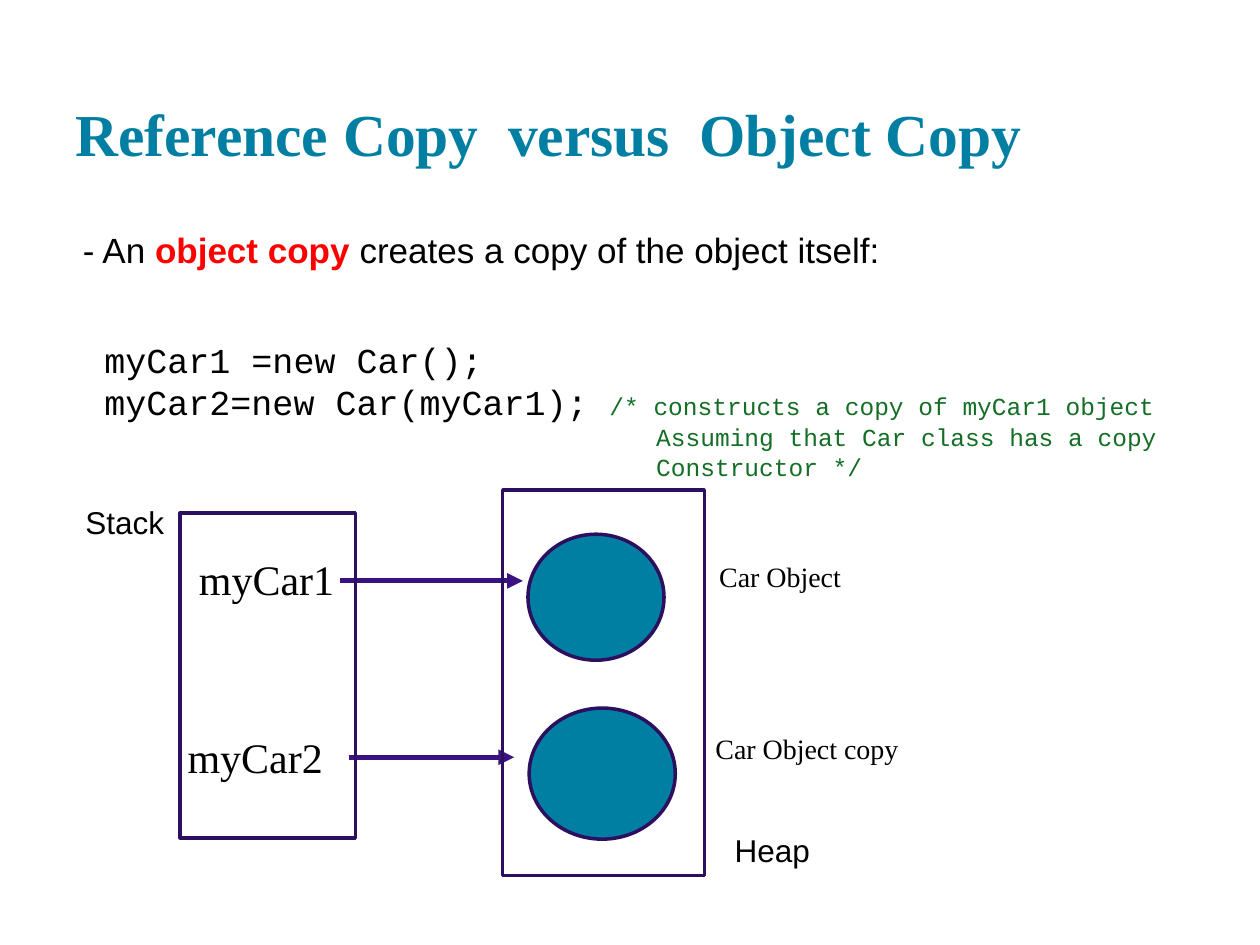
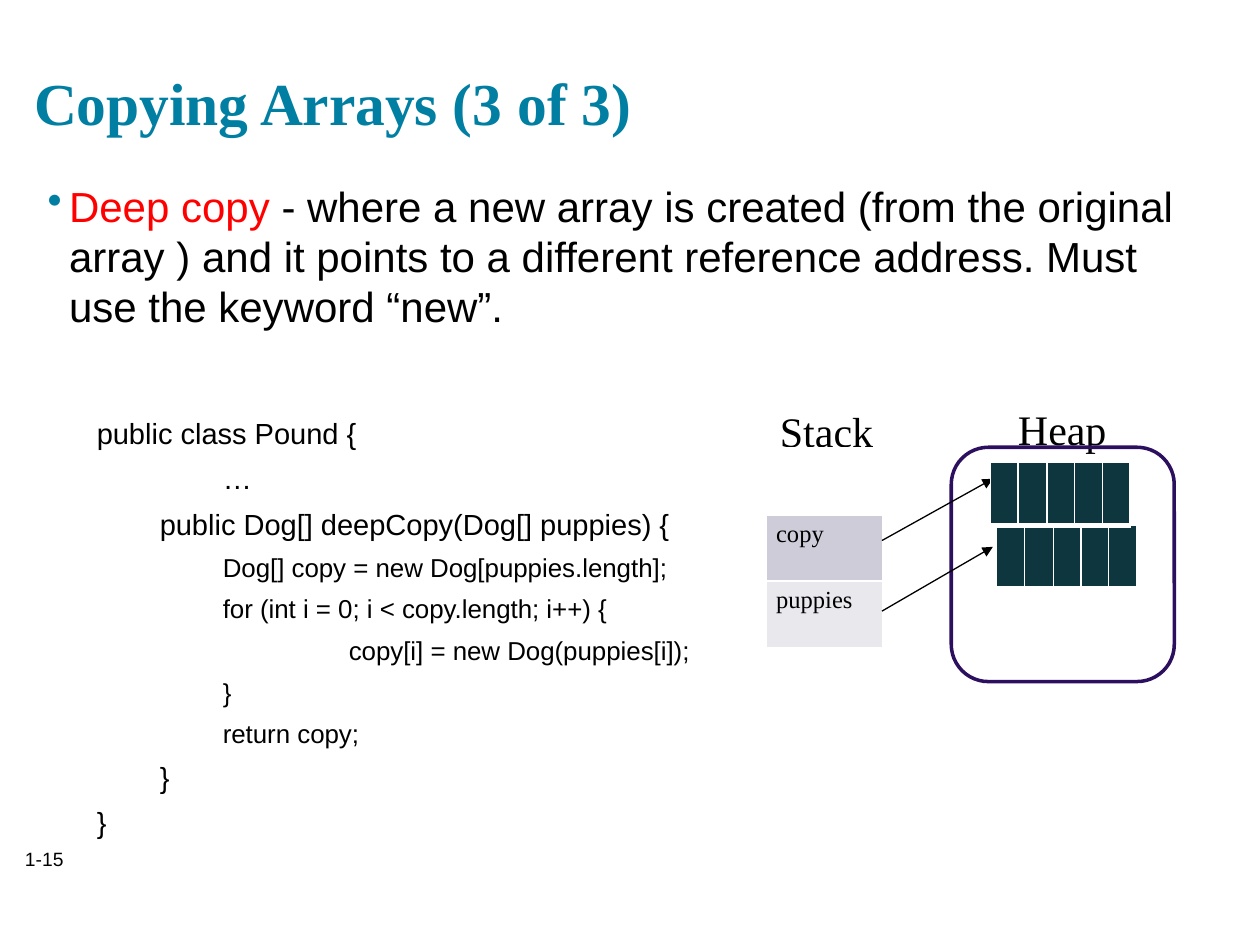
from lxml.etree import SubElement
from pptx import Presentation
from pptx.dml.color import RGBColor
from pptx.enum.shapes import MSO_CONNECTOR, MSO_SHAPE
from pptx.enum.text import MSO_ANCHOR, MSO_AUTO_SIZE, PP_ALIGN
from pptx.oxml.ns import qn
from pptx.util import Inches, Pt

TEAL, RED, BLACK, WHITE = "007FA3", "FF0000", "000000", "FFFFFF"
GREEN, PURPLE, VIOLET, DARK = "146E25", "2C105F", "3A1281", "0D363E"
SANS, SERIF, MONO = "Arial", "Times New Roman", "Courier New"

# A paragraph is (runs, paragraph format); a run is (text, font format).
NOTE = {"size": 14, "color": GREEN, "font": MONO}
CODE = {"font": MONO}
REF_BODY = [
    ([("- An\u00a0", {}), ("object copy", {"color": RED, "bold": True}),
      ("\u00a0creates a copy of the object itself:", {})], {"left": 0.11}),
    ([("myCar1 =new Car();", CODE)], {"left": 0.28, "before": 39}),
    ([("myCar2=new Car(myCar1); ", CODE),
      ("/* constructs a copy of myCar1 object", NOTE)], {"left": 0.28}),
    ([("Assuming that Car class has a copy", NOTE)], {"left": 4.66}),
    ([("Constructor */", NOTE)], {"left": 4.66}),
]
REF_TAGS = [
    ("Car Object", (5.61, 4.39, 1.18, 0.37), 16),
    ("myCar1", (1.48, 4.34, 1.28, 0.84), 24),
    ("myCar2", (1.39, 5.76, 1.28, 0.91), 24),
    ("Car Object copy", (5.58, 5.76, 1.68, 0.37), 16),
]
REF_AREAS = [("Stack", (0.39, 3.93, 1.2, 0.43)), ("Heap", (5.53, 6.53, 1.2, 0.43))]
CARS = [(4.19, 4.24, 1.08, 1), (4.2, 5.62, 1.16, 1.04)]
FRAMES = [(1.43, 4.07, 1.39, 2.58), (3.99, 3.89, 1.6, 3.06)]
REF_ARROWS = [(2.7, 4.61, 4.15, 4.61), (2.77, 6.01, 4.08, 6.01)]

DEEP = [("Deep copy ", {"color": RED}),
        ("- where a new array is created (from the original array ) and it points "
         "to a different reference address. Must use the keyword “new”.", {})]
POUND = [  # text, left indent, size
    ("public class Pound {", 0.5, 16.6),
    ("…", 1.5, 16.6),
    ("public Dog[] deepCopy(Dog[] puppies) {", 1, 16.6),
    ("Dog[] copy = new Dog[puppies.length];", 1.5, 14.8),
    ("for (int i = 0; i < copy.length; i++) {", 1.5, 14.8),
    ("copy[i] = new Dog(puppies[i]);", 2.5, 14.8),
    ("}", 1.5, 14.8),
    ("return copy;", 1.5, 14.8),
    ("}", 1, 16.6),
    ("}", 0.5, 16.6),
]
ARRAY_AREAS = [("Stack", (5.42, 3.17, 2.28, 0.51)), ("Heap", (7.29, 3.15, 2.28, 0.51))]
ARRAY_ARROWS = [(7, 4.29, 7.88, 3.8), (7, 4.85, 7.88, 4.34)]
STACK = [[("", WHITE)], [("copy", "CECCD8")], [("puppies", "E8E8ED")]]
ARRAYS = [(7.91, 4.17), (7.86, 3.67)]
CELLS = [0.22, 0.23, 0.22, 0.22, 0.22]


def rgb(color):
    return RGBColor.from_string(color)


def lengths(box):
    return [Inches(n) for n in box]


def style(run, size=18, font=SANS, color=BLACK, bold=False):
    run.font.size, run.font.name, run.font.bold = Pt(size), font, bold
    run.font.color.rgb = rgb(color)


def write(frame, text, align=PP_ALIGN.LEFT, anchor=MSO_ANCHOR.TOP, inset=None,
          wrap=True, **look):
    """Fill a text frame from a string or a list of paragraphs."""
    frame.word_wrap, frame.auto_size = wrap, MSO_AUTO_SIZE.NONE
    frame.vertical_anchor = anchor
    if inset is not None:
        frame.margin_left = frame.margin_right = Inches(inset)
        frame.margin_top = frame.margin_bottom = Inches(inset)
    paras = [([(text, {})], {})] if isinstance(text, str) else text
    for n, (runs, form) in enumerate(paras):
        para = frame.add_paragraph() if n else frame.paragraphs[0]
        indent(para, form.get("left", 0), form.get("bullet"))
        para.alignment = align
        para.space_before = Pt(form.get("before", 0))
        for words, extra in runs:
            run = para.add_run()
            run.text = words
            style(run, **{**look, **extra})


def indent(para, left, bullet):
    props = para._p.get_or_add_pPr()
    props.set("marL", str(Inches(left)))
    props.set("indent", str(Inches(-0.17 if bullet else 0)))
    if bullet:
        hue = SubElement(props, qn("a:buClr"))
        SubElement(hue, qn("a:srgbClr"), val=TEAL)
        SubElement(props, qn("a:buChar"), char=bullet)
    else:
        SubElement(props, qn("a:buNone"))


def label(slide, box, text, **form):
    write(slide.shapes.add_textbox(*lengths(box)).text_frame, text, **form)


def titled(deck, text, box):
    slide = deck.slides.add_slide(deck.slide_layouts[5])
    title = slide.shapes.title
    title.left, title.top, title.width, title.height = lengths(box)
    write(title.text_frame, text, anchor=MSO_ANCHOR.BOTTOM, inset=0.1,
          size=34, font=SERIF, color=TEAL, bold=True)
    return slide


def outline(slide, kind, box, fill=None):
    shape = slide.shapes.add_shape(kind, *lengths(box))
    shape.shadow.inherit = False
    if fill:
        shape.fill.solid()
        shape.fill.fore_color.rgb = rgb(fill)
    else:
        shape.fill.background()
    shape.line.color.rgb, shape.line.width = rgb(PURPLE), Pt(2)


def arrow(slide, ends, color, width):
    link = slide.shapes.add_connector(MSO_CONNECTOR.STRAIGHT, *lengths(ends))
    link.line.color.rgb, link.line.width = rgb(color), Pt(width)
    SubElement(link.line._get_or_add_ln(), qn("a:tailEnd"), type="triangle")
    SubElement(link._element.spPr, qn("a:effectLst"))


def border(cell, bottom):
    props = cell._tc.get_or_add_tcPr()
    for side, width in (("L", 1), ("R", 1), ("T", 1), ("B", bottom)):
        edge = SubElement(props, qn(f"a:ln{side}"), w=str(Pt(width)))
        SubElement(SubElement(edge, qn("a:solidFill")), qn("a:srgbClr"), val=WHITE)


def grid(slide, spot, rows, widths, height, bottoms):
    """Draw a table whose cells are (text, fill)."""
    box = (*spot, sum(widths), height * len(rows))
    table = slide.shapes.add_table(len(rows), len(widths), *lengths(box)).table
    table.first_row = table.horz_banding = False
    for col, width in zip(table.columns, widths):
        col.width = Inches(width)
    for r, row in enumerate(rows):
        table.rows[r].height = Inches(height)
        for c, (text, fill) in enumerate(row):
            cell = table.cell(r, c)
            border(cell, bottoms[r])
            cell.fill.solid()
            cell.fill.fore_color.rgb = rgb(fill)
            cell.margin_left = cell.margin_right = Inches(0.08)
            if text:
                run = cell.text_frame.paragraphs[0].add_run()
                run.text = text
                style(run, size=14, font=SERIF)


def references(deck):
    slide = titled(deck, "Reference Copy  versus  Object Copy", (0.5, 0.24, 9, 1.2))
    label(slide, (0.45, 1.71, 9, 5.42), REF_BODY, inset=0.1, size=20)
    for box in CARS:
        outline(slide, MSO_SHAPE.OVAL, box, TEAL)
    for text, box, size in REF_TAGS:
        label(slide, box, text, wrap=False, size=size, font=SERIF)
    for ends in REF_ARROWS:
        arrow(slide, ends, VIOLET, 3)
    for box in FRAMES:
        outline(slide, MSO_SHAPE.RECTANGLE, box)
    for text, box in REF_AREAS:
        label(slide, box, text, align=PP_ALIGN.CENTER, anchor=MSO_ANCHOR.MIDDLE)


def arrays(deck):
    slide = titled(deck, "Copying Arrays (3 of 3)", (0.17, 0.35, 9.42, 0.84))
    body = [(DEEP, {"left": 0.28, "bullet": "•"})]
    for n, (text, left, size) in enumerate(POUND):
        body.append(([(text, {"size": size})],
                     {"left": left, "before": 6 if n else 48}))
    label(slide, (0.17, 1.33, 9.24, 5.42), body, inset=0.1, size=24)
    for text, box in ARRAY_AREAS:
        label(slide, box, text, align=PP_ALIGN.CENTER, size=24, font=SERIF)
    grid(slide, (6.08, 3.55), STACK, [0.93], 0.53, [3, 1, 1])
    outline(slide, MSO_SHAPE.ROUNDED_RECTANGLE, (7.55, 3.55, 1.77, 1.86))
    for ends in ARRAY_ARROWS:
        arrow(slide, ends, BLACK, 0.75)
    label(slide, (0.1, 6.75, 9.4, 0.26), "1-15", anchor=MSO_ANCHOR.BOTTOM,
          inset=0.1, size=11)
    for spot in ARRAYS:
        grid(slide, spot, [[("", DARK)] * len(CELLS)], CELLS, 0.5, [3])


def main():
    deck = Presentation()
    deck.slide_width, deck.slide_height = Inches(10), Inches(7.5)
    references(deck)
    arrays(deck)
    deck.save("out.pptx")


if __name__ == "__main__":
    main()
